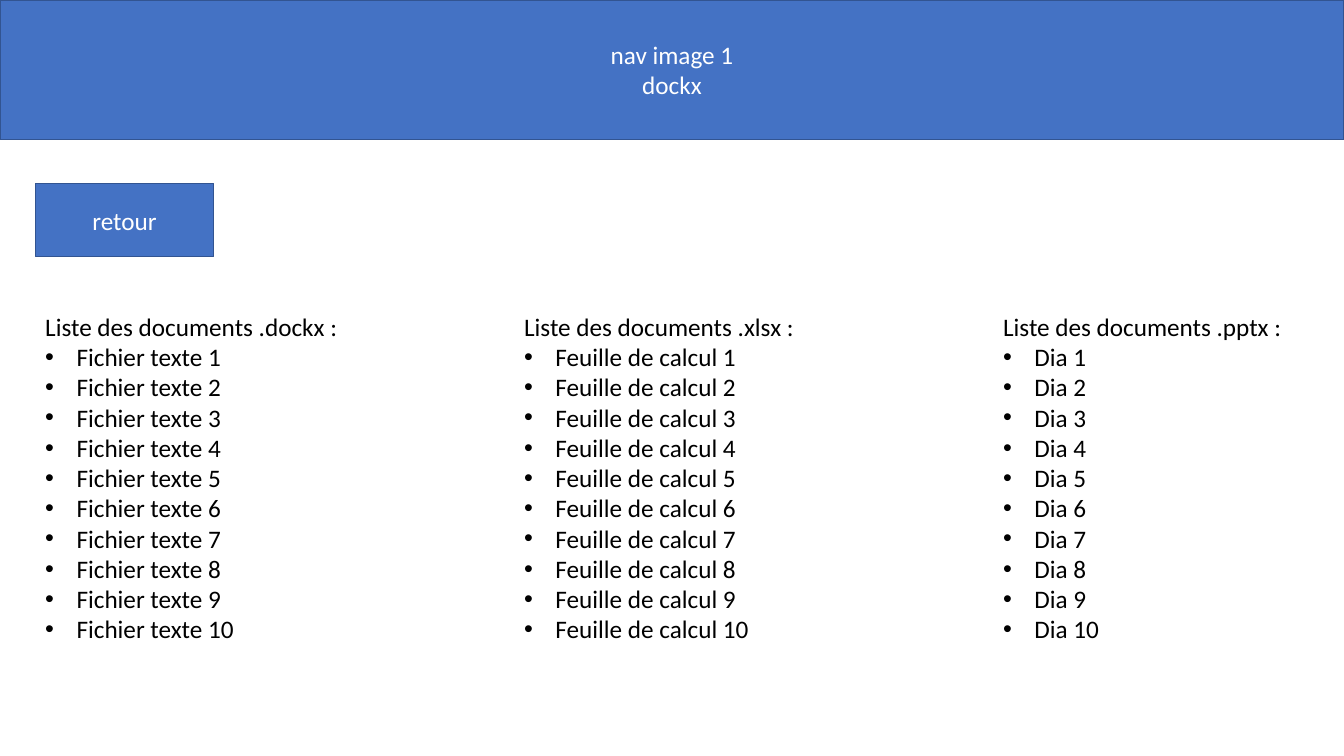
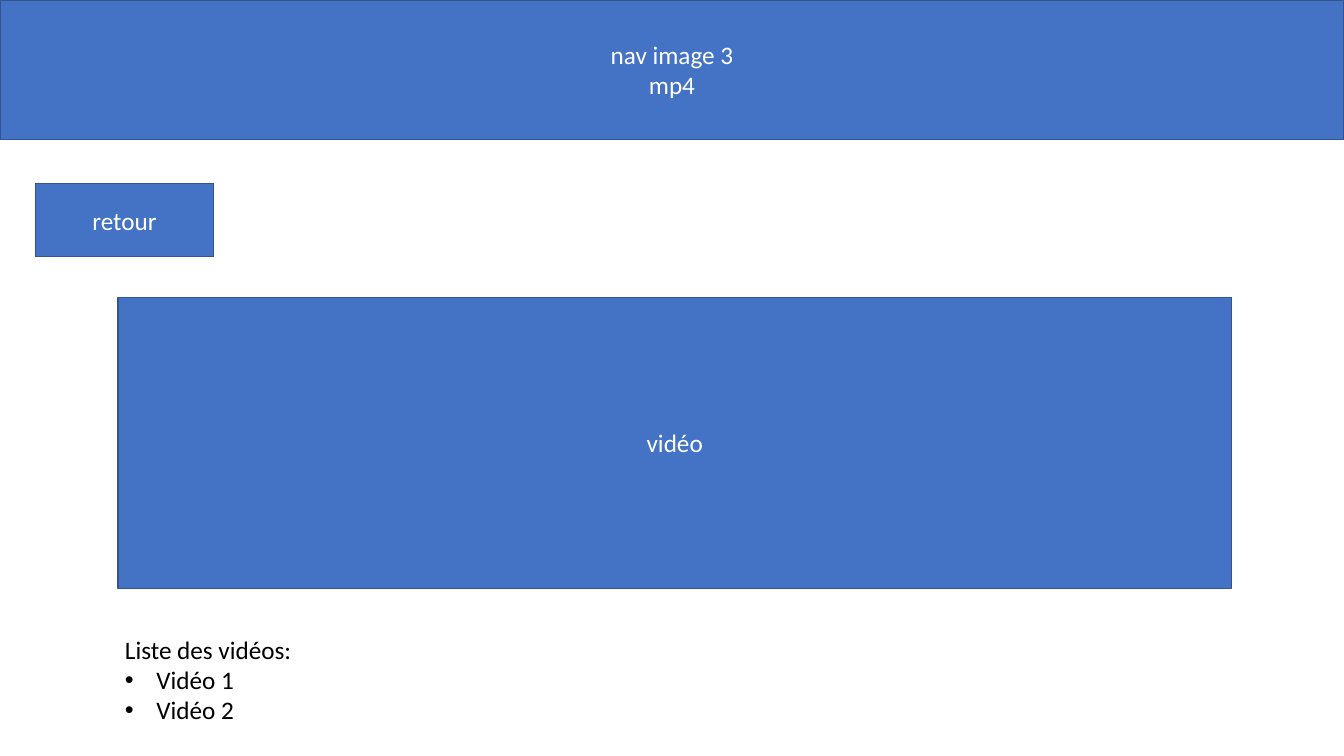
import pptx
import pptx.dml.color
import pptx.enum.shapes
import pptx.enum.text
import pptx.oxml
import pptx.oxml.ns
import pptx.util
from pptx.util import Cm

FONT = "Calibri"
FONT_SIZE = 18
BLUE, DARK_BLUE, WHITE, BLACK = "4472C4", "325491", "FFFFFF", "000000"

SLIDE_WIDTH, SLIDE_HEIGHT = Cm(33.87), Cm(19.05)
MARGIN = Cm(0.89)
BULLET_INDENT = Cm(0.79)
TITLE_ONLY_LAYOUT = 5

HEADER_BOX = (0, 0, SLIDE_WIDTH, Cm(3.51))
BACK_BUTTON_BOX = (MARGIN, Cm(4.62), Cm(4.5), Cm(1.85))
DOCUMENTS_BOX = (MARGIN, Cm(7.72), Cm(32.09), Cm(8.71))
VIDEO_BOX = (Cm(2.97), Cm(7.49), Cm(28.07), Cm(7.34))
VIDEO_LIST_BOX = (Cm(2.9), Cm(15.85), Cm(23.88), Cm(2.57))

LIST_WIDTH = Cm(7.95)
DOCUMENT_LISTS = [
    ("Liste des documents .dockx :", "Fichier texte"),
    ("Liste des documents .xlsx :", "Feuille de calcul"),
    ("Liste des documents .pptx :", "Dia"),
]


def color(hex_string):
    return pptx.dml.color.RGBColor.from_string(hex_string)


def add_bullet(paragraph):
    properties = paragraph._p.get_or_add_pPr()
    properties.set("marL", str(BULLET_INDENT))
    properties.set("indent", str(-BULLET_INDENT))
    namespace = pptx.oxml.ns.nsdecls("a")
    for tag in ('buFont {} typeface="Arial"', 'buChar {} char="•"'):
        properties.append(pptx.oxml.parse_xml(f"<a:{tag.format(namespace)}/>"))


def write_text(shape, lines, *, font_color=BLACK, align="LEFT", anchor="TOP",
               bullets_from=None):
    """Write one paragraph per line, bulleted from index bullets_from on."""
    frame = shape.text_frame
    frame.word_wrap = True
    frame.auto_size = pptx.enum.text.MSO_AUTO_SIZE.NONE
    frame.vertical_anchor = pptx.enum.text.MSO_ANCHOR[anchor]
    for index, line in enumerate(lines):
        paragraph = frame.add_paragraph() if index else frame.paragraphs[0]
        paragraph.alignment = pptx.enum.text.PP_ALIGN[align]
        if bullets_from is not None and index >= bullets_from:
            add_bullet(paragraph)
        run = paragraph.add_run()
        run.text = line
        run.font.name = FONT
        run.font.size = pptx.util.Pt(FONT_SIZE)
        run.font.color.rgb = color(font_color)


def style_panel(shape, lines):
    """Give a shape the blue fill, dark outline and centred white text."""
    shape.fill.solid()
    shape.fill.fore_color.rgb = color(BLUE)
    shape.line.color.rgb = color(DARK_BLUE)
    shape.line.width = pptx.util.Pt(1)
    write_text(shape, lines, font_color=WHITE, align="CENTER", anchor="MIDDLE")


def add_panel(slide, box, label):
    rectangle = pptx.enum.shapes.MSO_SHAPE.RECTANGLE
    panel = slide.shapes.add_shape(rectangle, *box)
    panel.shadow.inherit = False
    style_panel(panel, [label])


def add_list(slide, box, heading, item_name, count):
    items = [f"{item_name} {number}" for number in range(1, count + 1)]
    write_text(slide.shapes.add_textbox(*box), [heading, *items], bullets_from=1)


def add_document_lists(slide, box):
    """Spread the lists evenly from the left to the right edge of the box."""
    left, top, width, height = box
    step = (width - LIST_WIDTH) // (len(DOCUMENT_LISTS) - 1)
    for index, (heading, item_name) in enumerate(DOCUMENT_LISTS):
        list_box = (left + index * step, top, LIST_WIDTH, height)
        add_list(slide, list_box, heading, item_name, 10)


def add_page(presentation, title_lines):
    """Add a slide with the navigation header and the back button."""
    layout = presentation.slide_layouts[TITLE_ONLY_LAYOUT]
    slide = presentation.slides.add_slide(layout)
    header = slide.shapes.title
    header.left, header.top, header.width, header.height = HEADER_BOX
    style_panel(header, title_lines)
    add_panel(slide, BACK_BUTTON_BOX, "retour")
    return slide


def add_documents_slide(presentation):
    slide = add_page(presentation, ["nav image 1", "dockx"])
    add_document_lists(slide, DOCUMENTS_BOX)


def add_video_slide(presentation):
    slide = add_page(presentation, ["nav image 3", "mp4"])
    add_panel(slide, VIDEO_BOX, "vidéo")
    add_list(slide, VIDEO_LIST_BOX, "Liste des vidéos:", "Vidéo", 2)


def main():
    presentation = pptx.Presentation()
    presentation.slide_width = SLIDE_WIDTH
    presentation.slide_height = SLIDE_HEIGHT
    add_documents_slide(presentation)
    add_video_slide(presentation)
    presentation.save("out.pptx")


if __name__ == "__main__":
    main()
